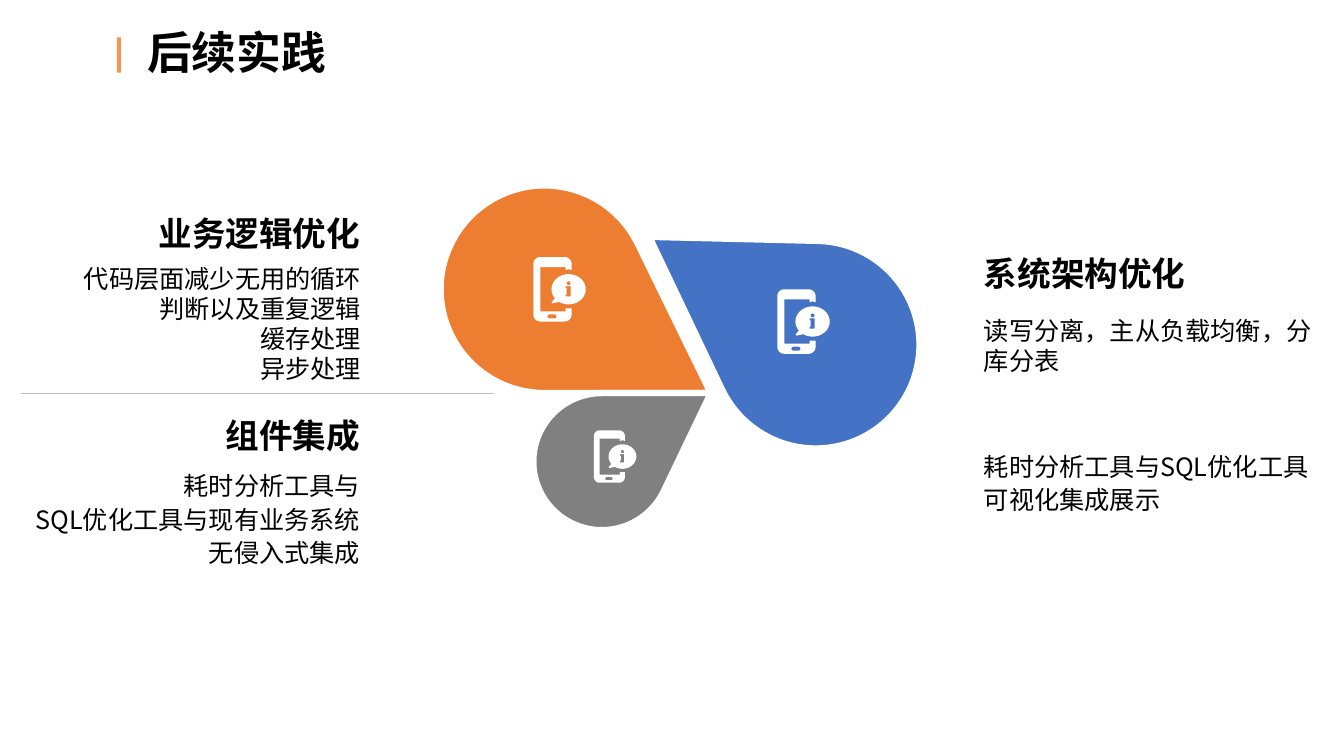
from dataclasses import dataclass
from math import acos, atan2, cos, degrees, hypot, radians, sin

from lxml.etree import SubElement
from pptx import Presentation
from pptx.dml.color import RGBColor
from pptx.enum.shapes import MSO_CONNECTOR, MSO_SHAPE
from pptx.enum.text import MSO_ANCHOR, PP_ALIGN
from pptx.oxml.ns import qn
from pptx.util import Inches, Pt


@dataclass(frozen=True)
class Theme:
    font: str = "Noto Sans CJK SC"
    text: RGBColor = RGBColor(0x00, 0x00, 0x00)
    white: RGBColor = RGBColor(0xFF, 0xFF, 0xFF)
    accent: RGBColor = RGBColor(0xF7, 0x94, 0x53)
    orange: RGBColor = RGBColor(0xED, 0x7D, 0x31)
    gray: RGBColor = RGBColor(0x80, 0x80, 0x80)
    blue: RGBColor = RGBColor(0x44, 0x72, 0xC4)
    rule: RGBColor = RGBColor(0xBF, 0xBF, 0xBF)
    title_size: int = 32
    heading_size: int = 24
    body_size: int = 18


theme = Theme()
presentation = Presentation()
presentation.slide_width = Inches(13.33)
presentation.slide_height = Inches(7.5)
slide = presentation.slides.add_slide(presentation.slide_layouts[6])


def add_text(text, left, top, width, height, size=theme.body_size, bold=False,
             align=PP_ALIGN.LEFT, anchor=MSO_ANCHOR.TOP, line_spacing=None):
    box = slide.shapes.add_textbox(Inches(left), Inches(top), Inches(width), Inches(height))
    frame = box.text_frame
    frame.word_wrap = True
    frame.vertical_anchor = anchor
    frame.text = text
    for paragraph in frame.paragraphs:
        paragraph.alignment = align
        if line_spacing:
            paragraph.line_spacing = line_spacing
        for run in paragraph.runs:
            run.font.name = theme.font
            run.font.size = Pt(size)
            run.font.bold = bold
            run.font.color.rgb = theme.text
            east_asian = SubElement(run.font._element, qn("a:ea"))
            east_asian.set("typeface", theme.font)


def arc(center_x, center_y, radius_x, radius_y, start, end, steps=12):
    """Points on an ellipse between two angles in degrees."""
    angles = [radians(start + (end - start) * i / steps) for i in range(steps + 1)]
    return [(center_x + radius_x * cos(a), center_y + radius_y * sin(a)) for a in angles]


# Title with accent bar
bar = slide.shapes.add_shape(MSO_SHAPE.RECTANGLE, Inches(1.16), Inches(0.37),
                             Inches(0.04), Inches(0.35))
bar.shadow.inherit = False
bar.fill.solid()
bar.fill.fore_color.rgb = theme.accent
bar.line.fill.background()
add_text("后续实践", 1.36, 0.2, 6.89, 0.64, size=theme.title_size, bold=True)

# Petals: a circle joined to its tip by two tangents
outlines = []
for center_x, center_y, radius, tip_x, tip_y, color in [
    (5.4, 2.87, 1.03, 7.05, 3.9, theme.orange),
    (5.97, 4.58, 0.68, 7.05, 3.9, theme.gray),
    (8.09, 3.42, 1.03, 6.44, 2.35, theme.blue),
]:
    to_tip = degrees(atan2(tip_y - center_y, tip_x - center_x))
    opening = degrees(acos(radius / hypot(tip_x - center_x, tip_y - center_y)))
    round_side = arc(center_x, center_y, radius, radius,
                     to_tip + opening, to_tip + 360 - opening, steps=72)
    outlines.append(([round_side + [(tip_x, tip_y)]], color, True))

# Phone icon, measured from its own top left corner
phone_body = (
    arc(0.07, 0.07, 0.07, 0.07, 180, 270)
    + arc(0.31, 0.07, 0.07, 0.07, -90, 0)
    + [(0.38, 0.13), (0.35, 0.12), (0.32, 0.13), (0.32, 0.1), (0.07, 0.1),
       (0.07, 0.54), (0.32, 0.54), (0.32, 0.51), (0.35, 0.51), (0.38, 0.51)]
    + arc(0.31, 0.57, 0.07, 0.07, 0, 90)
    + arc(0.07, 0.57, 0.07, 0.07, 90, 180)
)
home_button = (arc(0.16, 0.59, 0.02, 0.02, 90, 270)
               + arc(0.21, 0.59, 0.02, 0.02, -90, 90))
bubble = arc(0.35, 0.32, 0.17, 0.15, 143, 483, steps=48) + [(0.19, 0.46), (0.18, 0.45)]
letter_dot = arc(0.35, 0.26, 0.02, 0.02, 0, 360)
letter_stem = [(0.32, 0.29), (0.32, 0.31), (0.33, 0.31), (0.33, 0.37), (0.32, 0.37),
               (0.32, 0.39), (0.37, 0.39), (0.37, 0.37), (0.37, 0.29)]
icon = [phone_body, home_button, bubble, letter_dot, letter_stem]
for left, top, scale in [(5.29, 2.55, 1), (5.89, 4.27, 0.81), (7.71, 2.87, 1)]:
    contours = [[(left + x * scale, top + y * scale) for x, y in part] for part in icon]
    outlines.append((contours, theme.white, False))

# Draw petals and icons
for contours, color, outlined in outlines:
    builder = None
    for contour in contours:
        start, *points = [(Inches(x), Inches(y)) for x, y in contour]
        if builder is None:
            builder = slide.shapes.build_freeform(*start)
        else:
            builder.move_to(*start)
        builder.add_line_segments(points, close=True)
    shape = builder.convert_to_shape()
    shape.shadow.inherit = False
    shape.fill.solid()
    shape.fill.fore_color.rgb = color
    if outlined:
        shape.line.color.rgb = theme.white
        shape.line.width = Pt(4.5)
    else:
        shape.line.fill.background()

# Divider between the left topics
divider = slide.shapes.add_connector(MSO_CONNECTOR.STRAIGHT, Inches(4.9), Inches(3.9),
                                     Inches(0.21), Inches(3.9))
divider.line.color.rgb = theme.rule
divider.line.width = Pt(0.25)
SubElement(divider._element.spPr, qn("a:effectLst"))

# Topic headings
for text, left, top, align in [
    ("业务逻辑优化", 0.21, 2.05, PP_ALIGN.RIGHT),
    ("组件集成", 0.21, 4.05, PP_ALIGN.RIGHT),
    ("系统架构优化", 9.66, 2.44, PP_ALIGN.LEFT),
]:
    add_text(text, left, top, 3.46, 0.53, size=theme.heading_size, bold=True,
             align=align, anchor=MSO_ANCHOR.MIDDLE)

# Topic details
add_text("代码层面减少无用的循环判断以及重复逻辑\n缓存处理\n异步处理",
         0.63, 2.56, 3.05, 1.15, align=PP_ALIGN.RIGHT)
add_text("耗时分析工具与\nSQL优化工具与现有业务系统\n无侵入式集成",
         0.21, 4.59, 3.46, 1.11, align=PP_ALIGN.RIGHT, line_spacing=1.1)
add_text("读写分离，主从负载均衡，分库分表", 9.66, 3.08, 3.46, 1.11)
add_text("耗时分析工具与SQL优化工具可视化集成展示", 9.66, 4.4, 3.46, 1.11, line_spacing=1.1)

presentation.save("out.pptx")
